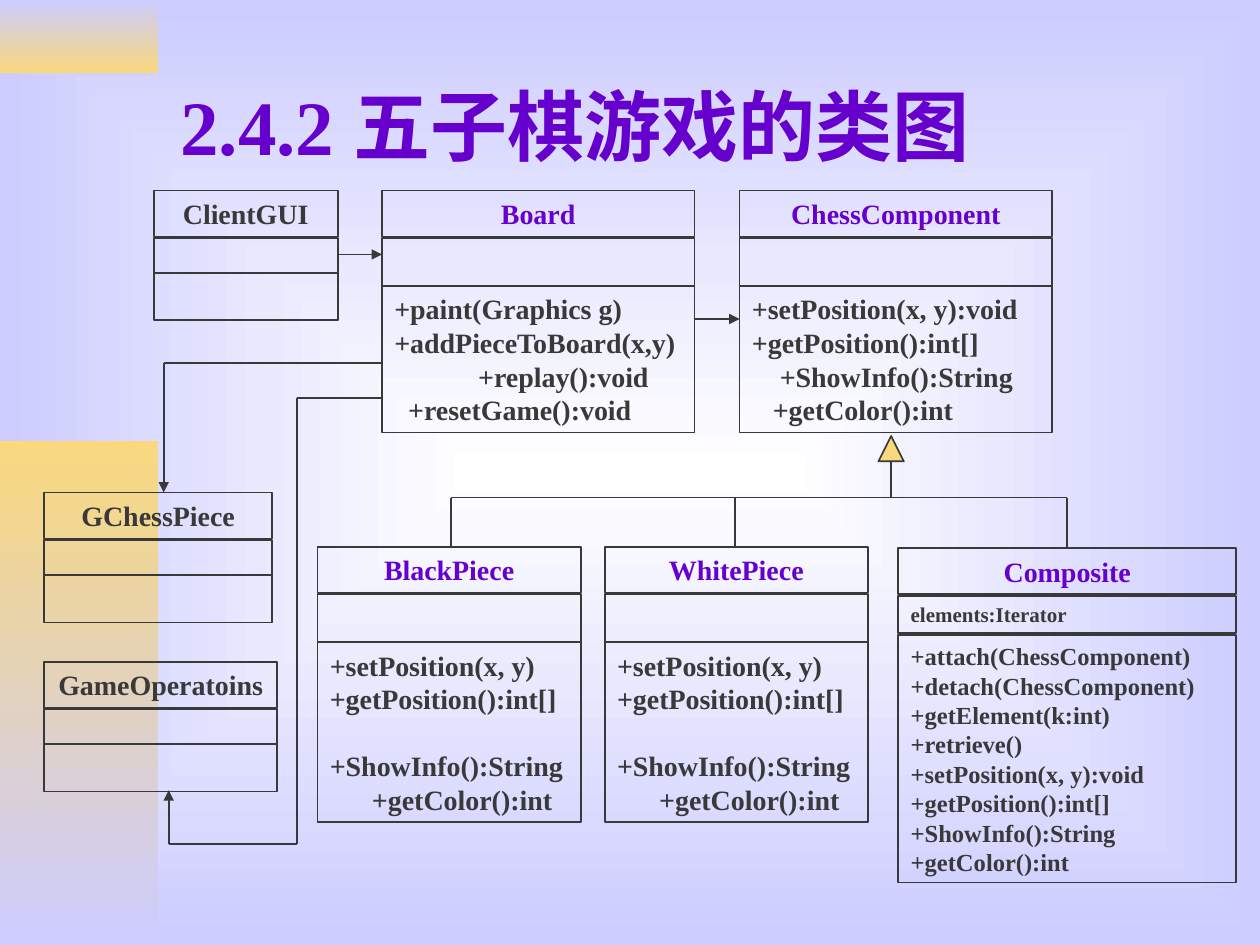
from itertools import pairwise

from lxml.etree import SubElement
from pptx import Presentation
from pptx.dml.color import RGBColor
from pptx.enum.shapes import MSO_CONNECTOR, MSO_SHAPE
from pptx.enum.text import MSO_ANCHOR, PP_ALIGN
from pptx.oxml.ns import qn
from pptx.util import Cm, Pt

COLORS = {"ink": "393939", "purple": "6600CC", "gold": "F9D87E",
          "lavender": "CCCCFF", "white": "FFFFFF"}
FONT = "Times New Roman"
LINE_FACTOR = 1.2
NAME_STEP = 0.96

# Each method is (text, left indent in cm, lines of space above).
BOARD_METHODS = [("+paint(Graphics g)", 0, 0), ("+addPieceToBoard(x,y)", 0, 0),
                 ("+replay():void", 1.69, 0), ("+resetGame():void", 0.28, 0)]
COMPONENT_METHODS = [("+setPosition(x, y):void", 0, 0), ("+getPosition():int[]", 0, 0),
                     ("+ShowInfo():String", 0.56, 0), ("+getColor():int", 0.42, 0)]
PIECE_METHODS = [("+setPosition(x, y)", 0, 0), ("+getPosition():int[]", 0, 0),
                 ("+ShowInfo():String", 0, 1), ("+getColor():int", 0.85, 0)]
COMPOSITE_METHODS = [(text, 0, 0) for text in (
    "+attach(ChessComponent)", "+detach(ChessComponent)", "+getElement(k:int)",
    "+retrieve()", "+setPosition(x, y):void", "+getPosition():int[]",
    "+ShowInfo():String", "+getColor():int")]


def rgb(name):
    return RGBColor.from_string(COLORS[name])


def set_gradient(fill, first, last):
    """Fill from top to bottom with two colours."""
    fill.gradient()
    fill.gradient_angle = 270
    for stop, name in zip(fill.gradient_stops, (first, last)):
        stop.color.rgb = rgb(name)


def set_background(slide):
    """Give the slide a gradient that spreads from its centre."""
    set_gradient(slide.background.fill, "white", "lavender")
    linear = slide.element.find(".//" + qn("a:lin"))
    gradient = linear.getparent()
    gradient.remove(linear)
    path = SubElement(gradient, qn("a:path"), {"path": "rect"})
    SubElement(path, qn("a:fillToRect"), dict.fromkeys("ltrb", "50000"))


def add_band(slide, top, height, first, last):
    band = slide.shapes.add_shape(MSO_SHAPE.RECTANGLE, 0, Cm(top), Cm(3.18), Cm(height))
    band.shadow.inherit = False
    band.line.fill.background()
    set_gradient(band.fill, first, last)


def format_text(paragraph, text, size=16, color="ink", align=PP_ALIGN.LEFT):
    paragraph.text = text
    paragraph.alignment = align
    font = paragraph.font
    font.name, font.size, font.bold = FONT, Pt(size), True
    font.color.rgb = rgb(color)


def add_title(slide, text):
    title = slide.shapes.title
    title.left, title.top, title.width, title.height = Cm(3.38), Cm(0.84), Cm(21.59), Cm(3.35)
    title.text_frame.vertical_anchor = MSO_ANCHOR.MIDDLE
    format_text(title.text_frame.paragraphs[0], text, size=44, color="purple")


def add_outline(slide, kind, left, top, width, height):
    shape = slide.shapes.add_shape(kind, Cm(left), Cm(top), Cm(width), Cm(height))
    shape.shadow.inherit = False
    shape.fill.background()
    shape.line.color.rgb = rgb("ink")
    shape.line.width = Pt(1)
    return shape


def add_compartment(slide, left, top, width, height=0.96, lines=(), size=16, **text_format):
    """Draw one part of a class; its lines of text, if any, set the height."""
    pitch = size * LINE_FACTOR
    if lines:
        rows = sum(1 + gap for _, _, gap in lines)
        height = Pt(rows * pitch).cm + 0.25
    frame = add_outline(slide, MSO_SHAPE.RECTANGLE, left, top, width, height).text_frame
    frame.word_wrap = True
    frame.vertical_anchor = MSO_ANCHOR.TOP
    for index, (text, indent, gap) in enumerate(lines):
        paragraph = frame.add_paragraph() if index else frame.paragraphs[0]
        if indent:
            paragraph._p.get_or_add_pPr().set("marL", str(Cm(indent)))
        paragraph.line_spacing = Pt(pitch)
        if gap:
            paragraph.space_before = Pt(gap * pitch)
        format_text(paragraph, text, size=size, **text_format)


def add_class(slide, left, top, width, name, color="purple", attributes=(),
              attribute_height=0.96, methods=(), method_size=16):
    add_compartment(slide, left, top, width, lines=[(name, 0, 0)],
                    color=color, align=PP_ALIGN.CENTER)
    add_compartment(slide, left, top + NAME_STEP, width, height=attribute_height,
                    lines=attributes, size=12)
    add_compartment(slide, left, top + NAME_STEP + attribute_height, width,
                    lines=methods, size=method_size)


def add_route(slide, *points, arrow=False):
    """Join the points with straight lines, with an arrowhead at the end if asked."""
    for start, end in pairwise(points):
        connector = slide.shapes.add_connector(
            MSO_CONNECTOR.STRAIGHT, *(Cm(value) for value in start + end))
        connector.line.color.rgb = rgb("ink")
        connector.line.width = Pt(1)
        if arrow and end == points[-1]:
            SubElement(connector.line._get_or_add_ln(), qn("a:tailEnd"), {"type": "triangle"})
        SubElement(connector._element.spPr, qn("a:effectLst"))


def add_inheritance(slide, parent_x, top, rail_y, child_xs, child_y):
    """Draw the triangle under the parent and the tree down to its children."""
    triangle = add_outline(slide, MSO_SHAPE.ISOSCELES_TRIANGLE, parent_x - 0.25, top, 0.51, 0.51)
    triangle.fill.solid()
    triangle.fill.fore_color.rgb = rgb("gold")
    add_route(slide, (parent_x, top + 0.53), (parent_x, rail_y))
    add_route(slide, (child_xs[0], rail_y), (child_xs[-1], rail_y))
    for x in child_xs:
        add_route(slide, (x, rail_y), (x, child_y))


def main():
    presentation = Presentation()
    presentation.slide_width, presentation.slide_height = Cm(25.4), Cm(19.05)
    slide = presentation.slides.add_slide(presentation.slide_layouts[5])
    set_background(slide)
    add_band(slide, 0, 1.47, "lavender", "gold")
    add_band(slide, 8.89, 10.16, "gold", "lavender")
    add_title(slide, "2.4.2 五子棋游戏的类图")

    for left, top, width, name in ((3.1, 3.84, 3.71, "ClientGUI"),
                                   (0.89, 9.93, 4.6, "GChessPiece"),
                                   (0.89, 13.34, 4.7, "GameOperatoins")):
        add_class(slide, left, top, width, name, color="ink", attribute_height=0.7)
    for left, top, width, name, methods in (
            (7.7, 3.84, 6.3, "Board", BOARD_METHODS),
            (14.91, 3.84, 6.3, "ChessComponent", COMPONENT_METHODS),
            (6.4, 11.02, 5.31, "BlackPiece", PIECE_METHODS),
            (12.19, 11.02, 5.31, "WhitePiece", PIECE_METHODS)):
        add_class(slide, left, top, width, name, methods=methods)
    add_class(slide, 18.11, 11.05, 6.81, "Composite",
              attributes=[("elements:Iterator", 0, 0)], attribute_height=0.79,
              methods=COMPOSITE_METHODS, method_size=14)

    add_inheritance(slide, 17.96, 8.79, 10.03, (9.09, 14.81, 21.51), 11.02)
    add_route(slide, (14, 6.43), (14.91, 6.43), arrow=True)
    add_route(slide, (6.81, 5.13), (7.7, 5.13), arrow=True)
    add_route(slide, (7.7, 7.32), (3.3, 7.32), (3.3, 9.93), arrow=True)
    add_route(slide, (7.7, 8.03), (5.99, 8.03), (5.99, 17.02), (3.4, 17.02),
              (3.4, 15.93), arrow=True)
    presentation.save("out.pptx")


if __name__ == "__main__":
    main()
